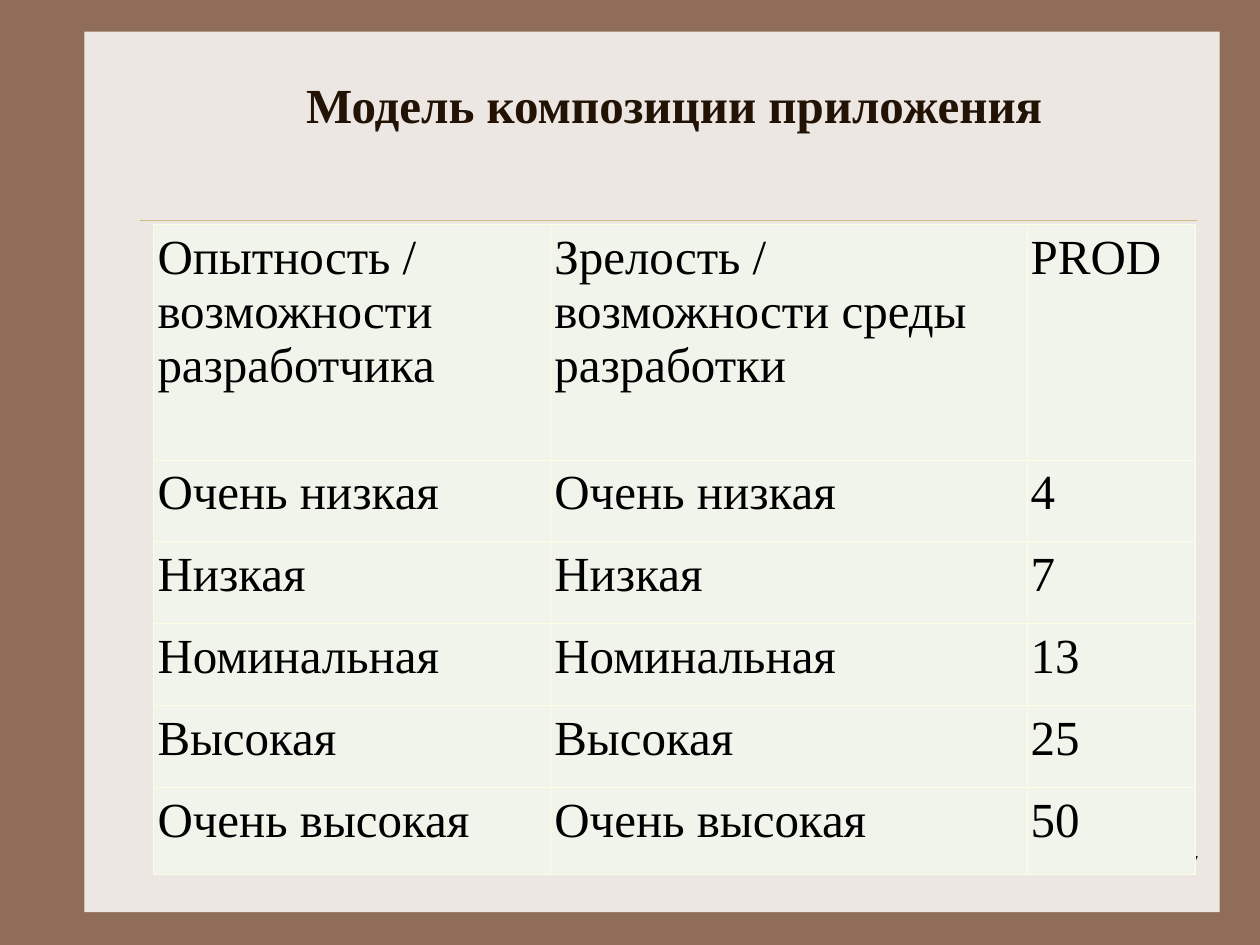
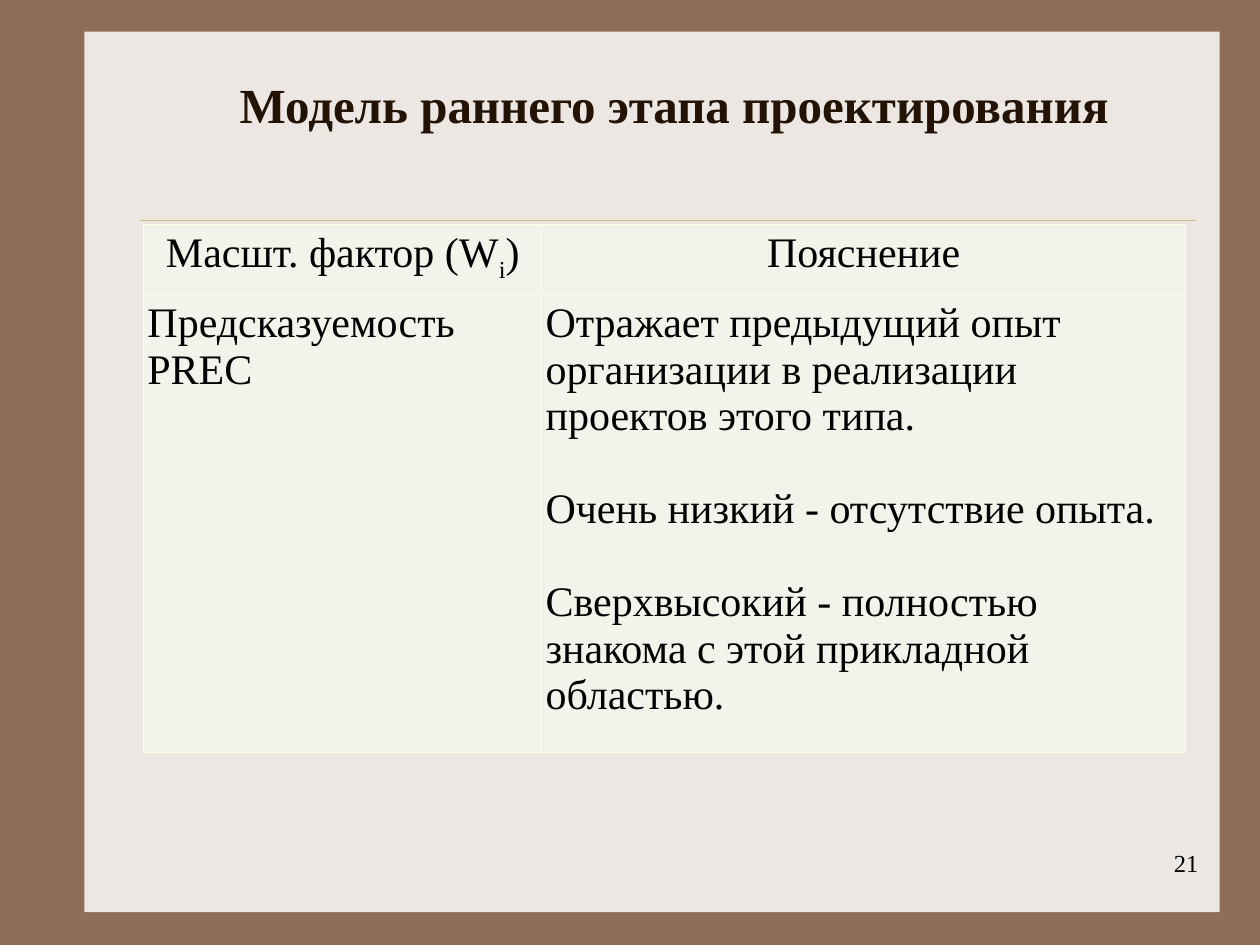
from lxml.etree import SubElement
from pptx import Presentation
from pptx.dml.color import RGBColor
from pptx.enum.shapes import MSO_CONNECTOR, MSO_SHAPE
from pptx.enum.text import MSO_ANCHOR, PP_ALIGN
from pptx.oxml.ns import qn
from pptx.util import Inches, Pt

# Content: a cell is a list of paragraphs; "_" marks the next letter as subscript
PAGES = [
    dict(
        title="Модель композиции приложения", number="17", size=28,
        left=1.22, columns=[3.15, 3.78, 1.34], heights=[1.87] + [0.65] * 4 + [0.69],
        header_align=PP_ALIGN.LEFT, body_align=PP_ALIGN.JUSTIFY,
        rows=[
            [["Опытность / возможности разработчика"],
             ["Зрелость / возможности среды разработки"], ["PROD"]],
            *[[[level], [level], [productivity]] for level, productivity in (
                ("Очень низкая", "4"), ("Низкая", "7"), ("Номинальная", "13"),
                ("Высокая", "25"), ("Очень высокая", "50"))],
        ],
    ),
    dict(
        title="Модель раннего этапа проектирования", number="21", size=24,
        left=1.14, columns=[3.16, 5.11], heights=[0.52, 3.6],
        header_align=PP_ALIGN.CENTER, body_align=PP_ALIGN.LEFT,
        rows=[
            [["Масшт. фактор (W_i)"], ["Пояснение"]],
            [["Предсказуемость PREC"],
             ["Отражает предыдущий опыт организации в реализации проектов этого типа.",
              "Очень низкий - отсутствие опыта.",
              "Сверхвысокий - полностью знакома с этой прикладной областью."]],
        ],
    ),
]

# Shared style
FONT = "Times New Roman"
FRAME = RGBColor(0x90, 0x6D, 0x58)
PAPER = RGBColor(0xED, 0xE7, 0xE3)
RULE = RGBColor(0xCB, 0xBD, 0x83)
TITLE = RGBColor(0x22, 0x13, 0x04)
TEXT = RGBColor(0, 0, 0)
CELL = RGBColor(0xF0, 0xF4, 0xEB)
BORDER = RGBColor(0xFE, 0xFD, 0xE3)
TABLE_TOP = 1.78
LINE_HEIGHT = 1.107  # one line of the font, as a share of its size


def write(para, text, size, color, align, bold=False):
    para.alignment = align
    font = para.font
    font.name, font.size, font.bold = FONT, Pt(size), bold
    font.color.rgb = color
    before, mark, after = text.partition("_")
    para.add_run().text = before
    if mark:
        span = para.add_run()
        span.text = after[0]
        span._r.get_or_add_rPr().set("baseline", "-25000")
        para.add_run().text = after[1:]


def add_text(page, place, text, size, color, align, anchor=MSO_ANCHOR.TOP, bold=False):
    frame = page.shapes.add_textbox(*map(Inches, place)).text_frame
    frame.word_wrap = True
    frame.vertical_anchor = anchor
    write(frame.paragraphs[0], text, size, color, align, bold)


def add_base(page, title, number):
    """Frame, paper, rule, page number and title."""
    page.background.fill.solid()
    page.background.fill.fore_color.rgb = FRAME
    paper = page.shapes.add_shape(MSO_SHAPE.RECTANGLE, *map(Inches, (0.67, 0.25, 9.01, 6.99)))
    paper.shadow.inherit = False
    paper.fill.solid()
    paper.fill.fore_color.rgb = PAPER
    paper.line.fill.background()

    rule = page.shapes.add_connector(
        MSO_CONNECTOR.STRAIGHT, *map(Inches, (1.11, 1.75, 9.5, 1.75)))
    rule.line.color.rgb = RULE
    rule.line.width = Pt(0.25)
    SubElement(rule._element.spPr, qn("a:effectLst"))

    add_text(page, (7.53, 6.68, 2.08, 0.5), number, 14, TEXT, PP_ALIGN.RIGHT)
    add_text(page, (1.06, 0.42, 8.58, 0.81), title, 28, TITLE, PP_ALIGN.CENTER,
             MSO_ANCHOR.MIDDLE, bold=True)


def style_cell(cell):
    cell.margin_left = cell.margin_right = Inches(0.03)
    cell.margin_top = cell.margin_bottom = Inches(0.05)
    properties = cell._tc.get_or_add_tcPr()
    for side in ("lnL", "lnR", "lnT", "lnB"):
        line = SubElement(properties, qn(f"a:{side}"), w=str(int(Pt(0.45))))
        fill = SubElement(line, qn("a:solidFill"))
        SubElement(fill, qn("a:srgbClr"), val=str(BORDER))
    cell.fill.solid()
    cell.fill.fore_color.rgb = CELL


def add_grid(page, left, columns, heights, rows, size, header_align, body_align):
    place = (left, TABLE_TOP, sum(columns), sum(heights))
    table = page.shapes.add_table(len(rows), len(columns), *map(Inches, place)).table
    table.horz_banding = False
    for column, width in zip(table.columns, columns):
        column.width = Inches(width)
    for index, (row, height, contents) in enumerate(zip(table.rows, heights, rows)):
        row.height = Inches(height)
        align = body_align if index else header_align
        for cell, lines in zip(row.cells, contents):
            style_cell(cell)
            frame = cell.text_frame
            for position, text in enumerate(lines):
                para = frame.add_paragraph() if position else frame.paragraphs[0]
                if position:
                    para.space_before = Pt(round(size * LINE_HEIGHT, 1))
                write(para, text, size, TEXT, align)


def main():
    deck = Presentation()
    deck.slide_width, deck.slide_height = Inches(10), Inches(7.5)
    for content in PAGES:
        page = deck.slides.add_slide(deck.slide_layouts[6])
        grid = dict(content)
        add_base(page, grid.pop("title"), grid.pop("number"))
        add_grid(page, **grid)
    deck.save("out.pptx")


if __name__ == "__main__":
    main()
